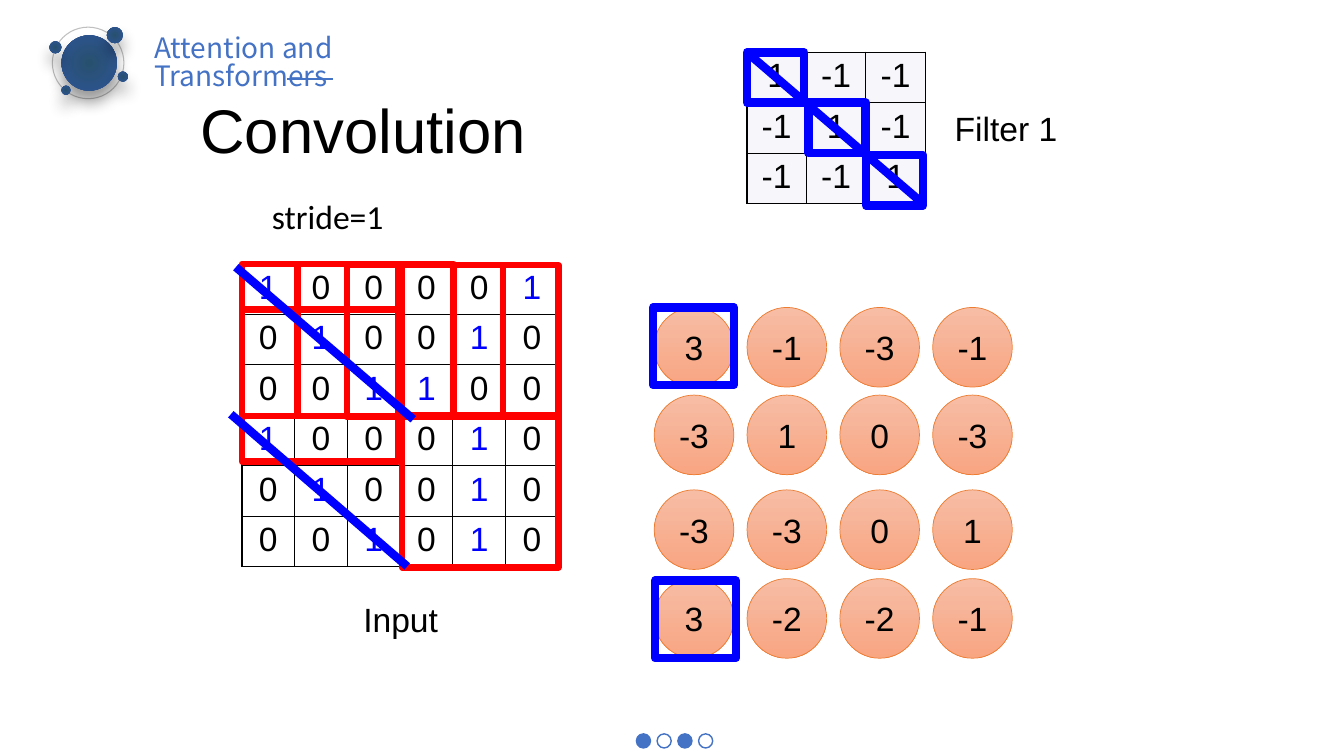
from lxml import etree
from pptx import Presentation
from pptx.dml.color import RGBColor
from pptx.enum.shapes import MSO_CONNECTOR, MSO_SHAPE
from pptx.enum.text import MSO_ANCHOR, PP_ALIGN
from pptx.oxml import parse_xml
from pptx.oxml.ns import nsdecls, qn
from pptx.util import Pt

OVAL, RECT, STRAIGHT = MSO_SHAPE.OVAL, MSO_SHAPE.RECTANGLE, MSO_CONNECTOR.STRAIGHT
CENTER, LEFT, MIDDLE = PP_ALIGN.CENTER, PP_ALIGN.LEFT, MSO_ANCHOR.MIDDLE
COLORS = {
    "black": "000000", "red": "FF0000", "blue": "0000FF", "theme": "4472C4",
    "ring": "BFBFBF", "navy": "2F5597", "teal": "27506E", "cell": "F7F7FB",
    "peach": "F7BDA5", "salmon": "F8A582", "orange": "ED7D31",
}
COLORS = {name: RGBColor.from_string(value) for name, value in COLORS.items()}

prs = Presentation()
prs.slide_width, prs.slide_height = Pt(960), Pt(540)
slide = prs.slides.add_slide(prs.slide_layouts[5])
shapes = slide.shapes


def add_outline(kind, left, top, width, height, color, weight):
    """Add an unfilled shape; without a colour it has no outline either."""
    shape = shapes.add_shape(kind, Pt(left), Pt(top), Pt(width), Pt(height))
    shape.shadow.inherit = False
    shape.fill.background()
    if color:
        shape.line.color.rgb = COLORS[color]
        shape.line.width = Pt(weight)
    else:
        shape.line.fill.background()
    return shape


def style_text(paragraph, text, size=24, font="Arial", color="black", align=CENTER):
    paragraph.text = text
    paragraph.alignment = align
    paragraph.font.size = Pt(size)
    paragraph.font.name = font
    paragraph.font.color.rgb = COLORS[color]


# Page dots
for i in range(4):
    dot = add_outline(OVAL, 454.6 + 14.8 * i, 524.2, 10.1, 10.1, "theme", 1)
    if i % 2 == 0:
        dot.fill.solid()
        dot.fill.fore_color.rgb = COLORS["theme"]

# Corner ornament: a ring with shaded balls
add_outline(OVAL, 37.4, 19.4, 51.1, 51.1, "ring", 0.75)
for left, top, size in [(43.9, 25.2, 39.6), (76.3, 19.4, 11.5), (35.3, 29.5, 8.6),
                        (43.9, 61.2, 6.5), (84.2, 51.1, 7.2)]:
    ball = add_outline(OVAL, left, top, size, size, None, 0)
    ball.fill.gradient()
    for stop, color in zip(ball.fill.gradient_stops, ("teal", "navy")):
        stop.color.rgb = COLORS[color]
    properties = ball._element.spPr
    linear = properties.find(".//" + qn("a:lin"))
    linear.getparent().replace(linear, parse_xml(
        f'<a:path {nsdecls("a")} path="circle">'
        '<a:fillToRect l="50000" t="50000" r="50000" b="50000"/></a:path>'))
    properties.find(qn("a:effectLst")).append(parse_xml(
        f'<a:outerShdw {nsdecls("a")} blurRad="{Pt(11)}" dist="{Pt(8)}" dir="5400000">'
        '<a:srgbClr val="000000"><a:alpha val="40000"/></a:srgbClr></a:outerShdw>'))

# Title
title = shapes.title
title.left, title.top, title.width, title.height = Pt(136), Pt(64.8), Pt(283.7), Pt(61.2)
title.text_frame.vertical_anchor = MIDDLE
style_text(title.text_frame.paragraphs[0], "Convolution", 44, align=LEFT)
title.text_frame.paragraphs[0].line_spacing = 0.9

# Section heading and labels
for text, left, top, width, height, size, font, color, align, spacing in [
    ("Attention and Transformers", 103, 21.6, 165, 60, 20, "Noto Sans CJK SC", "theme", LEFT, 0.85),
    ("Input", 193.7, 424.1, 185, 36, 24, "Arial", "black", CENTER, 1),
    ("Filter 1", 661.7, 73.4, 113.8, 36.7, 24, "Arial", "black", CENTER, 1),
    ("stride=1", 187.2, 136.1, 95, 36.7, 24, "Calibri", "black", LEFT, 1),
]:
    label = shapes.add_textbox(Pt(left), Pt(top), Pt(width), Pt(height))
    label.text_frame.word_wrap = True
    style_text(label.text_frame.paragraphs[0], text, size, font, color, align)
    label.text_frame.paragraphs[0].line_spacing = spacing

# Input and filter matrices
input_rows = ["1 0 0 0 0 1", "0 1 0 0 1 0", "0 0 1 1 0 0",
              "1 0 0 0 1 0", "0 1 0 0 1 0", "0 0 1 0 1 0"]
filter_rows = ["1 -1 -1", "-1 1 -1", "-1 -1 1"]
for rows, left, top, column_width, one_color, background in [
    (input_rows, 172.8, 188.6, 37.7, "blue", None),
    (filter_rows, 533.5, 37.4, 42.5, "black", "cell"),
]:
    count = len(rows)
    matrix = shapes.add_table(count, count, Pt(left), Pt(top),
                              Pt(column_width * count), Pt(36 * count)).table
    matrix.first_row = matrix.horz_banding = False
    for r, row in enumerate(rows):
        matrix.rows[r].height = Pt(36)
        matrix.columns[r].width = Pt(column_width)
        for c, value in enumerate(row.split()):
            cell = matrix.cell(r, c)
            style_text(cell.text_frame.paragraphs[0], value,
                       color=one_color if value == "1" else "black")
            for i, side in enumerate(("a:lnL", "a:lnR", "a:lnT", "a:lnB")):
                border = etree.Element(qn(side), w=str(Pt(1)))
                border_fill = etree.SubElement(border, qn("a:solidFill"))
                etree.SubElement(border_fill, qn("a:srgbClr"), val=str(COLORS["black"]))
                cell._tc.get_or_add_tcPr().insert(i, border)
            if background:
                cell.fill.solid()
                cell.fill.fore_color.rgb = COLORS[background]
            else:
                cell.fill.background()

# Feature map
feature_rows = [(219.6, "3 -1 -3 -1"), (282.2, "-3 1 0 -3"),
                (349.9, "-3 -3 0 1"), (413.3, "3 -2 -2 -1")]
for top, row in feature_rows:
    for c, value in enumerate(row.split()):
        neuron = add_outline(OVAL, 467.3 + 66.3 * c, top, 56.9, 56.9, "orange", 0.5)
        neuron.fill.gradient()
        neuron.fill.gradient_angle = 270
        for stop, color in zip(neuron.fill.gradient_stops, ("peach", "salmon")):
            stop.color.rgb = COLORS[color]
        neuron.text_frame.vertical_anchor = MIDDLE
        style_text(neuron.text_frame.paragraphs[0], value)

# Sliding windows over the input
for left, top in [(172.8, 188.6), (212.4, 188.6), (247.7, 189.4),
                  (287.3, 189.4), (172.8, 221), (287.3, 296.6)]:
    add_outline(RECT, left, top, 111.6, 108.7, "red", 4.5)

# Highlighted filter cells and matching results
for left, top, width, height in [
    (533.5, 37.4, 41, 36), (577.4, 73.4, 41, 36), (618.5, 110.9, 41, 36),
    (466.6, 219.6, 57.6, 55.4), (468, 414.7, 57.6, 55.4),
]:
    add_outline(RECT, left, top, width, height, "blue", 6)

# Heading rule and matching diagonals
for x1, y1, x2, y2, color, weight in [
    (205.2, 56.2, 237.6, 56.2, "theme", 1.5),
    (533.5, 37.4, 660.2, 146.2, "blue", 6),
    (168.5, 190.8, 295.2, 299.5, "blue", 6),
    (164.9, 295.9, 290.9, 404.6, "blue", 6),
]:
    stroke = shapes.add_connector(STRAIGHT, Pt(x1), Pt(y1), Pt(x2), Pt(y2))
    stroke.line.color.rgb = COLORS[color]
    stroke.line.width = Pt(weight)
    etree.SubElement(stroke._element.spPr, qn("a:effectLst"))

prs.save("out.pptx")
